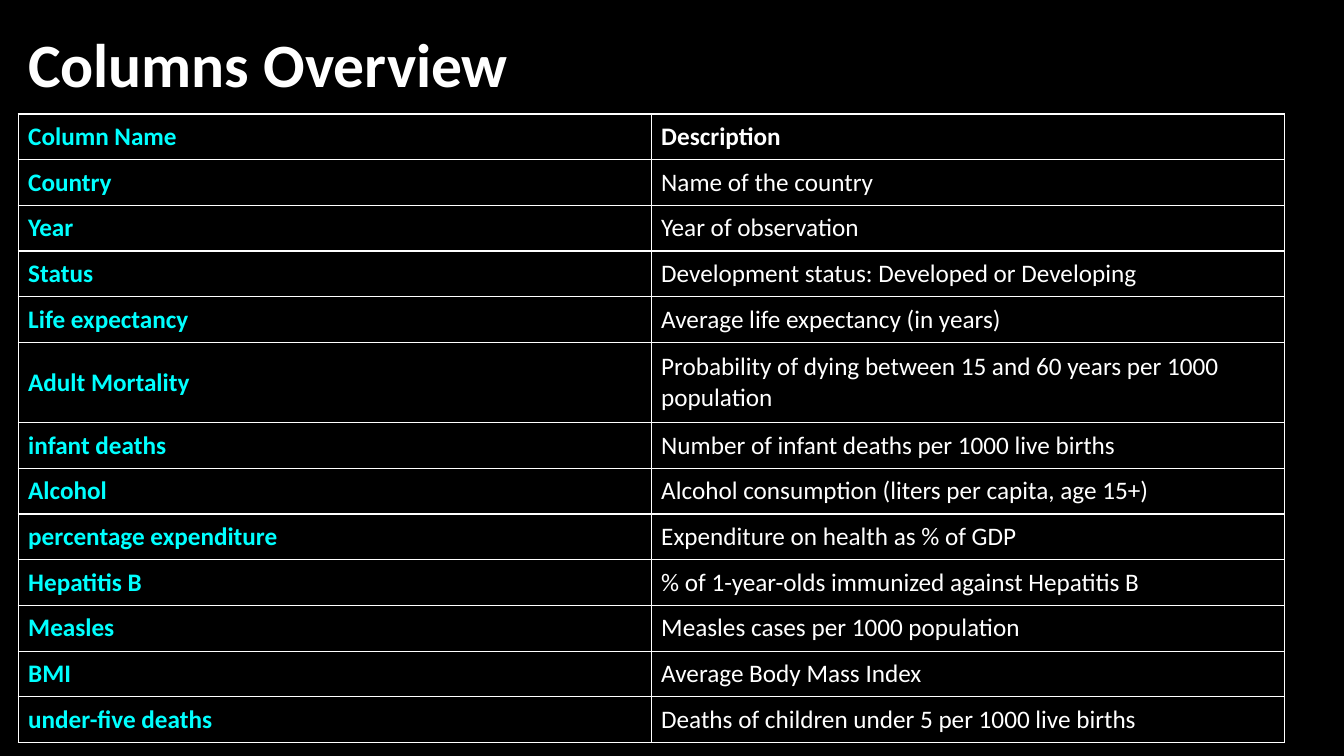
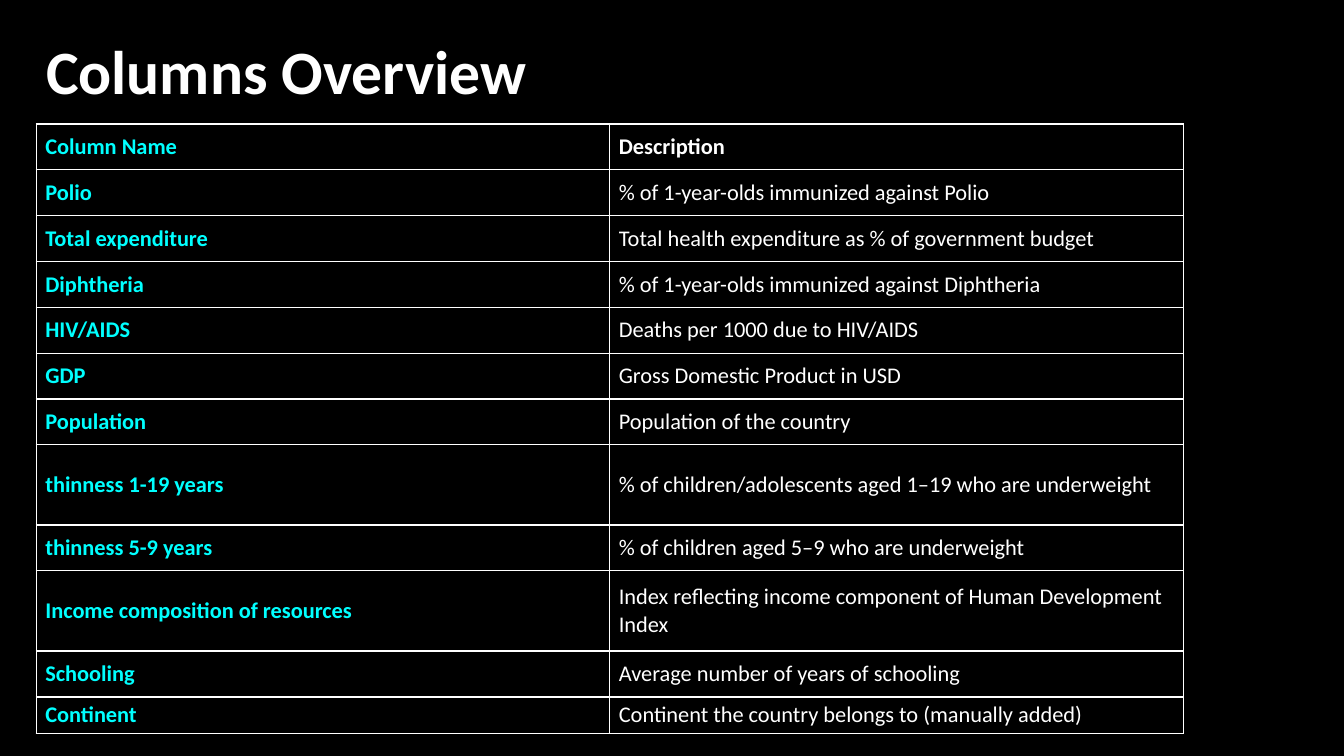
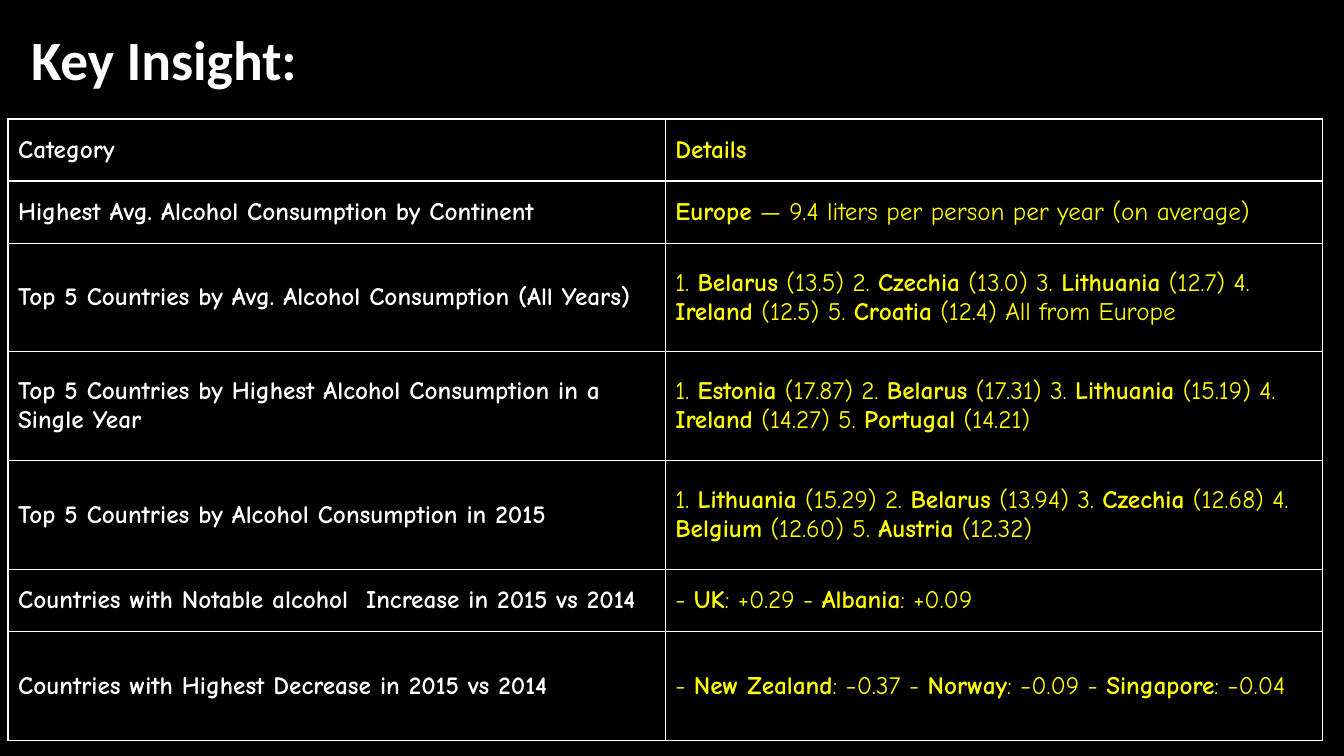
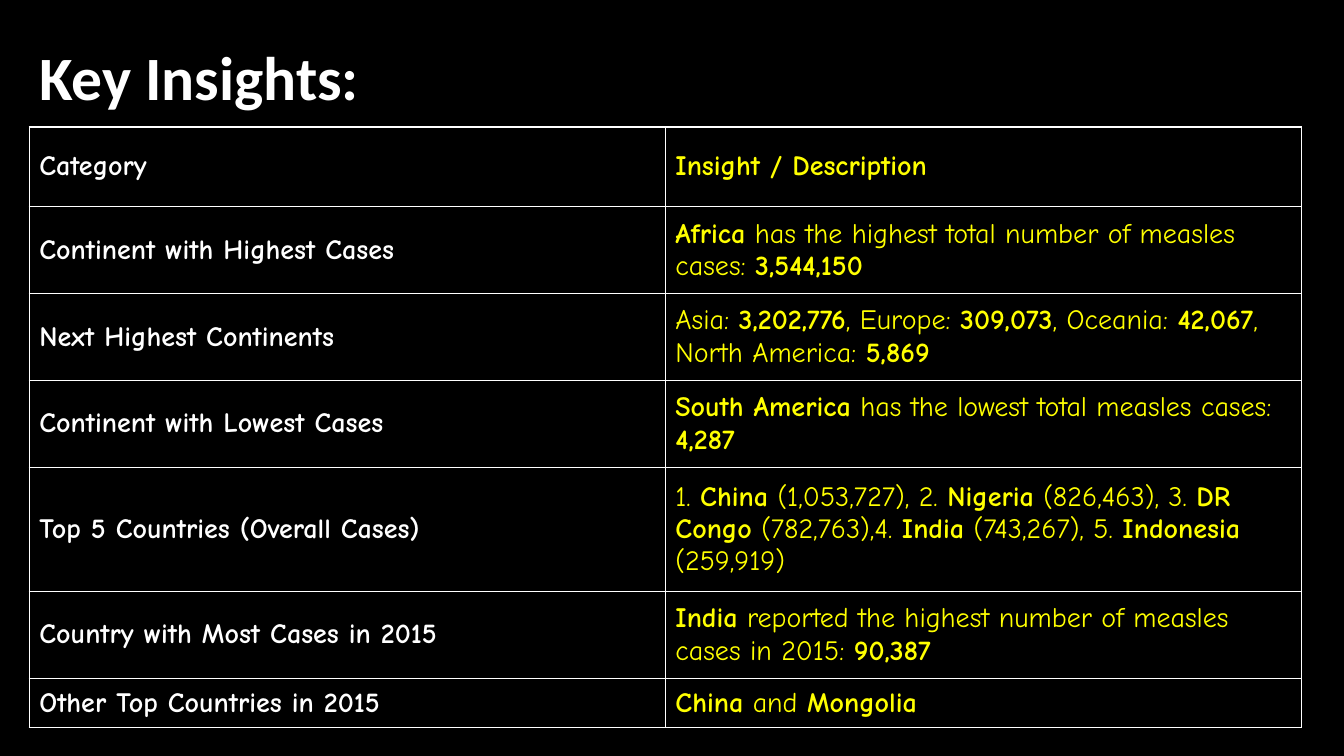
"""Build four dark table slides on life expectancy data."""
import dataclasses

import lxml.etree
import pptx
import pptx.dml.color
import pptx.enum.text
import pptx.oxml.ns
import pptx.slide
import pptx.table
import pptx.text.text
import pptx.util

BLACK = pptx.dml.color.RGBColor(0x00, 0x00, 0x00)
WHITE = pptx.dml.color.RGBColor(0xFF, 0xFF, 0xFF)
CYAN = pptx.dml.color.RGBColor(0x00, 0xFF, 0xFF)
YELLOW = pptx.dml.color.RGBColor(0xFF, 0xFF, 0x00)
WIDTH = pptx.util.Inches(13.33)
HEIGHT = pptx.util.Inches(7.5)
MIDDLE = pptx.enum.text.MSO_ANCHOR.MIDDLE


@dataclasses.dataclass(frozen=True)
class Box:
    """A frame in percent of the slide's size."""
    left: float
    top: float
    width: float
    height: float

    def place(self) -> tuple[int, int, int, int]:
        """Return the frame as slide lengths."""
        return (int(WIDTH * self.left / 100), int(HEIGHT * self.top / 100),
                int(WIDTH * self.width / 100), int(HEIGHT * self.height / 100))


@dataclasses.dataclass(frozen=True)
class Look:
    """Font and the two column colours of a table."""
    face: str
    key: pptx.dml.color.RGBColor
    value: pptx.dml.color.RGBColor


@dataclasses.dataclass(frozen=True)
class Row:
    """Two cell texts, bold between stars, and a relative height."""
    key: str
    value: str
    share: float = 1


@dataclasses.dataclass(frozen=True)
class Page:
    """A title above a two-column table."""
    title: str
    head: Box
    grid: Box
    look: Look
    size: float
    rows: tuple[Row, ...]
    title_size: float = 44
    pad: tuple[float, float] = (0.1, 0.05)


FIELDS = Look("Calibri", CYAN, WHITE)
FACTS = Look("Comic Neue", WHITE, YELLOW)

PAGES = (
    Page("Columns Overview", Box(1.35, 2.8, 91.8, 12.27), Box(1.35, 15.07, 94.2, 83.2), FIELDS, 18, (
        Row("Column Name", "*Description*"),
        Row("Country", "Name of the country"),
        Row("Year", "Year of observation"),
        Row("Status", "Development status: Developed or Developing"),
        Row("Life expectancy", "Average life expectancy (in years)"),
        Row("Adult Mortality", "Probability of dying between 15 and 60 years per 1000 population", 1.75),
        Row("infant deaths", "Number of infant deaths per 1000 live births"),
        Row("Alcohol", "Alcohol consumption (liters per capita, age 15+)"),
        Row("percentage expenditure", "Expenditure on health as % of GDP"),
        Row("Hepatitis B", "% of 1-year-olds immunized against Hepatitis B"),
        Row("Measles", "Measles cases per 1000 population"),
        Row("BMI", "Average Body Mass Index"),
        Row("under-five deaths", "Deaths of children under 5 per 1000 live births"),
    )),
    Page("Columns Overview", Box(2.7, 1.6, 90.45, 16.4), Box(2.7, 16.4, 85.35, 80.6), FIELDS, 16, (
        Row("Column Name", "*Description*"),
        Row("Polio", "% of 1-year-olds immunized against Polio"),
        Row("Total expenditure", "Total health expenditure as % of government budget"),
        Row("Diphtheria", "% of 1-year-olds immunized against Diphtheria"),
        Row("HIV/AIDS", "Deaths per 1000 due to HIV/AIDS"),
        Row("GDP", "Gross Domestic Product in USD"),
        Row("Population", "Population of the country"),
        Row("thinness 1-19 years", "% of children/adolescents aged 1–19 who are underweight", 1.75),
        Row("thinness 5-9 years", "% of children aged 5–9 who are underweight"),
        Row("Income composition of resources",
            "Index reflecting income component of Human Development Index", 1.75),
        Row("Schooling", "Average number of years of schooling"),
        Row("Continent", "Continent the country belongs to (manually added)", 0.79),
    ), pad=(0.09, 0.04)),
    Page("Key Insight:", Box(1.58, 4, 91.6, 8.53), Box(0.6, 15.73, 97.8, 82.2), FACTS, 18, (
        Row("Category", "*Details*", 4),
        Row("Highest Avg. Alcohol Consumption by Continent",
            "*Europe* — 9.4 liters per person per year (on average)", 4),
        Row("Top 5 Countries by Avg. Alcohol Consumption (All Years)",
            "1. *Belarus* (13.5) 2. *Czechia* (13.0) 3. *Lithuania* (12.7) "
            "4. *Ireland* (12.5) 5. *Croatia* (12.4) All from Europe", 7),
        Row("Top 5 Countries by Highest Alcohol Consumption in a Single Year",
            "1. *Estonia* (17.87) 2. *Belarus* (17.31) 3. *Lithuania* (15.19) "
            "4. *Ireland* (14.27) 5. *Portugal* (14.21)", 7),
        Row("Top 5 Countries by Alcohol Consumption in 2015",
            "1. *Lithuania* (15.29) 2. *Belarus* (13.94) 3. *Czechia* (12.68) "
            "4. *Belgium* (12.60) 5. *Austria* (12.32)", 7),
        Row("Countries with Notable alcohol  Increase in 2015 vs 2014",
            "- *UK*: +0.29 - *Albania*: +0.09", 4),
        Row("Countries with Highest Decrease in 2015 vs 2014",
            "- *New Zealand*: −0.37 - *Norway*: −0.09 - *Singapore*: −0.04", 7),
    ), title_size=39.6),
    Page("Key Insights:", Box(2.18, 2.53, 28.7, 16.27), Box(2.18, 16.8, 94.65, 79.5), FACTS, 20, (
        Row("Category", "*Insight / Description*", 0.79),
        Row("Continent with Highest Cases",
            "*Africa* has the highest total number of measles cases: *3,544,150*", 0.86),
        Row("Next Highest Continents",
            "Asia: *3,202,776*, Europe: *309,073*, Oceania: *42,067*, North America: *5,869*", 0.86),
        Row("Continent with Lowest Cases",
            "*South America* has the lowest total measles cases: *4,287*", 0.86),
        Row("Top 5 Countries (Overall Cases)",
            "1. *China* (1,053,727), 2. *Nigeria* (826,463), 3. *DR Congo* (782,763),"
            "4. *India* (743,267), 5. *Indonesia* (259,919)", 1.23),
        Row("Country with Most Cases in 2015",
            "*India* reported the highest number of measles cases in 2015: *90,387*", 0.86),
        Row("Other Top Countries in 2015", "*China* and *Mongolia*", 0.49),
    )),
)


def style(font: pptx.text.text.Font, face: str, size: float,
          color: pptx.dml.color.RGBColor, bold: bool) -> None:
    """Set the look of one font."""
    font.name = face
    font.size = pptx.util.Pt(size)
    font.color.rgb = color
    font.bold = bold


def border(cell: pptx.table._Cell) -> None:
    """Draw a white line on all four sides of a cell."""
    props = cell._tc.get_or_add_tcPr()
    for spot, side in enumerate("LRTB"):
        line = lxml.etree.Element(pptx.oxml.ns.qn(f"a:ln{side}"), w=str(pptx.util.Pt(1)))
        fill = lxml.etree.SubElement(line, pptx.oxml.ns.qn("a:solidFill"))
        lxml.etree.SubElement(fill, pptx.oxml.ns.qn("a:srgbClr"), val=str(WHITE))
        props.insert(spot, line)


def write(cell: pptx.table._Cell, text: str, page: Page, color: pptx.dml.color.RGBColor) -> None:
    """Fill one cell with text, bold between stars."""
    cell.fill.solid()
    cell.fill.fore_color.rgb = BLACK
    cell.vertical_anchor = MIDDLE
    cell.margin_left = cell.margin_right = pptx.util.Inches(page.pad[0])
    cell.margin_top = cell.margin_bottom = pptx.util.Inches(page.pad[1])
    border(cell)
    for turn, part in enumerate(text.split("*")):
        if part:
            run = cell.text_frame.paragraphs[0].add_run()
            run.text = part
            style(run.font, page.look.face, page.size, color, turn % 2 == 1)


def add_title(slide: pptx.slide.Slide, page: Page) -> None:
    """Add the slide title."""
    frame = slide.shapes.add_textbox(*page.head.place()).text_frame
    frame.word_wrap = True
    frame.vertical_anchor = MIDDLE
    frame.text = page.title
    line = frame.paragraphs[0]
    line.line_spacing = 0.9
    style(line.runs[0].font, "Calibri", page.title_size, WHITE, True)


def add_grid(slide: pptx.slide.Slide, page: Page) -> None:
    """Add the two-column table."""
    place = page.grid.place()
    table = slide.shapes.add_table(len(page.rows), 2, *place).table
    table.first_row = table.horz_banding = False
    unit = place[3] / sum(row.share for row in page.rows)
    for spot, row in enumerate(page.rows):
        table.rows[spot].height = int(unit * row.share)
        write(table.cell(spot, 0), f"*{row.key}*", page, page.look.key)
        write(table.cell(spot, 1), row.value, page, page.look.value)


def main() -> None:
    """Build and save the deck."""
    deck = pptx.Presentation()
    deck.slide_width, deck.slide_height = WIDTH, HEIGHT
    ground = deck.slide_master.background.fill
    ground.solid()
    ground.fore_color.rgb = BLACK
    for page in PAGES:
        slide = deck.slides.add_slide(deck.slide_layouts[6])
        add_title(slide, page)
        add_grid(slide, page)
    deck.save("out.pptx")


if __name__ == "__main__":
    main()
